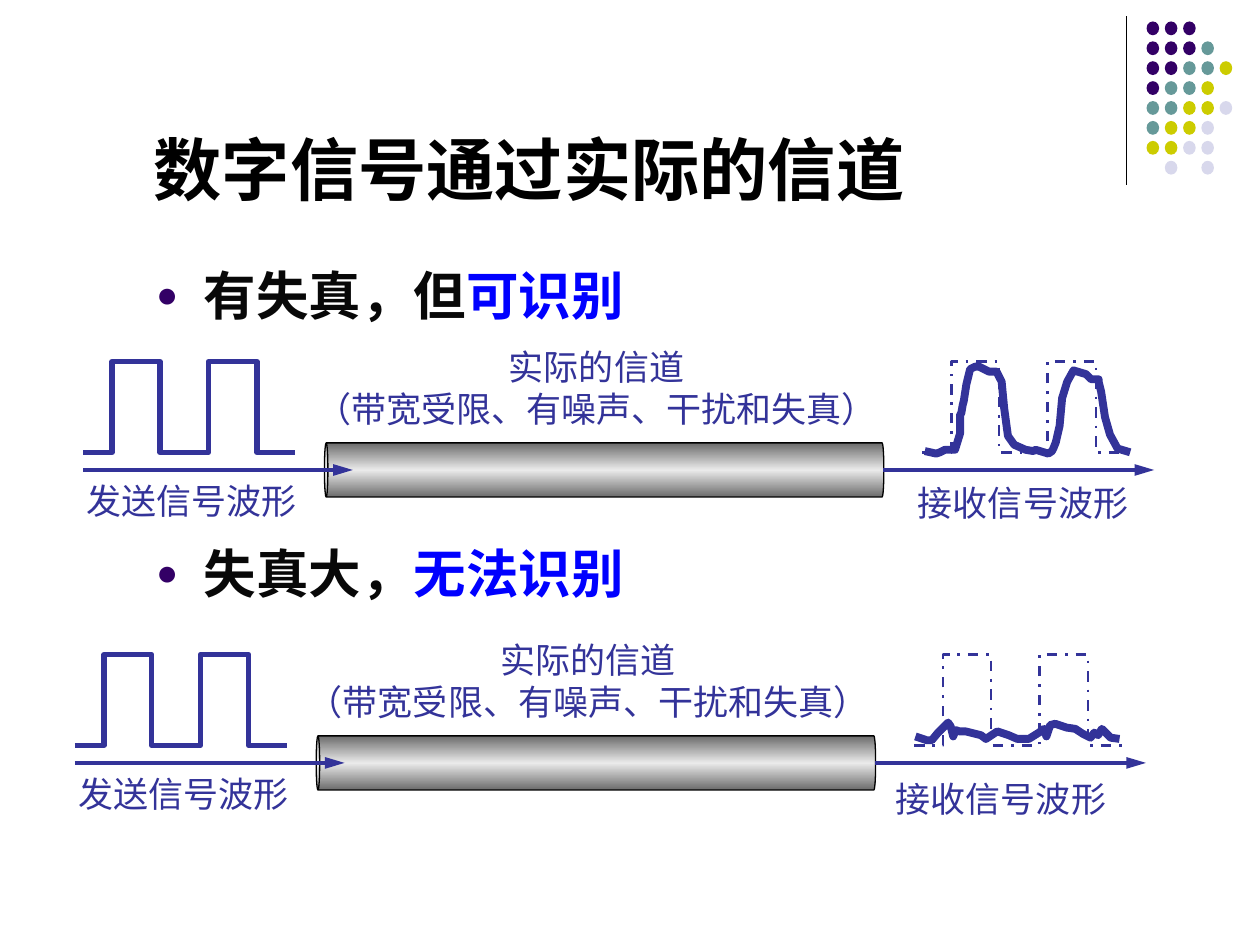
from copy import deepcopy

from lxml import etree
from pptx import Presentation
from pptx import util as u
from pptx.dml.color import RGBColor
from pptx.enum import dml, shapes, text
from pptx.oxml.ns import qn

COLUMNS, ROWS = 100, 75
CELL = u.Inches(10) // COLUMNS
INK, BLUE, BLACK, PURPLE = "333399", "0000FF", "080808", "330066"
CJK = "Noto Sans CJK SC"
DOTS = ["PPP", "PPPT", "PPTTY", "PTTY", "TTYYL", "TYYL", "YYLL", " L L"]
DOT_COLOURS = {"P": PURPLE, "T": "669999", "Y": "CCCC00", "L": "D8D8EC"}
PULSES = [(0, 7.2), (2.3, 7.2), (2.3, 0), (6.1, 0), (6.1, 7.2),
          (9.95, 7.2), (9.95, 0), (13.8, 0), (13.8, 7.2), (16.85, 7.2)]
DISTORTED = [
    (0.2, 7.1), (1.1, 7.3), (1.4, 7.2), (1.8, 7), (2.6, 7), (3, 5.7), (3, 4.2),
    (3.1, 4.1), (3.2, 3.5), (3.3, 3.1), (3.5, 1.8), (3.8, 0.6), (4.2, 0.4),
    (4.5, 0.4), (5.3, 0.8), (5.9, 0.8), (6.3, 1.6), (6.5, 3.7), (6.8, 5.9),
    (7.3, 6.6), (8.2, 7), (8.8, 7.1), (9, 7), (10, 7.3), (10.3, 7.1),
    (10.4, 6.9), (10.6, 6.4), (10.9, 5.1), (11.1, 2.9), (11.5, 1.6), (12, 0.7),
    (13, 1), (13.4, 1.4), (14, 1.4), (14, 1.6), (14.2, 2.4), (14.5, 4.4),
    (14.9, 5.8), (15.5, 6.9), (16.5, 7.2)]
LOST = [
    (0.1, 6.5), (1, 6.8), (1.4, 6.8), (1.9, 6.2), (2.7, 5.4), (2.9, 5.7),
    (3.1, 6.5), (3.3, 6), (3.6, 6.1), (4.1, 6.1), (5.3, 6.4), (5.7, 6.7),
    (6.6, 6.1), (7.5, 6.4), (8.2, 6.7), (9.1, 6.7), (9.9, 6.2), (10.3, 5.9),
    (10.5, 6.5), (10.8, 5.6), (11.2, 5.5), (12.1, 5.8), (12.8, 5.9),
    (13.4, 6.3), (14, 6.6), (14.3, 6.2), (14.6, 6.4), (14.9, 5.9),
    (15.6, 6.6), (16.3, 6.7)]


def cells(*values):
    return [round(v * CELL) for v in values]


def rgb(value):
    return RGBColor.from_string(value)


def set_line(sp, colour, width, dash=None):
    sp.line.color.rgb = rgb(colour)
    sp.line.width = u.Pt(width)
    if dash:
        sp.line.dash_style = dash


def write(p, content, size=20, colour=INK, font=CJK, bold=False, align=None):
    r = p.add_run()
    r.text = content
    r.font.size, r.font.bold, r.font.name = u.Pt(size), bold, font
    r.font.color.rgb = rgb(colour)
    east = etree.SubElement(r.font._element, qn("a:ea"))
    east.set("typeface", CJK)
    p.line_spacing = u.Pt(round(size * 1.2))
    if align:
        p.alignment = align


def add_label(s, box, lines, wrap=False, **style):
    tf = s.shapes.add_textbox(*cells(*box)).text_frame
    tf.word_wrap = wrap
    for i, content in enumerate(lines):
        p = tf.add_paragraph() if i else tf.paragraphs[0]
        write(p, content, **style)


def add_line(s, start, end, colour, width, arrow=False):
    sp = s.shapes.add_connector(shapes.MSO_CONNECTOR.STRAIGHT,
                                *cells(*start, *end))
    set_line(sp, colour, width)
    etree.SubElement(sp._element.spPr, qn("a:effectLst"))
    if arrow:
        tail = etree.SubElement(sp.line._get_or_add_ln(), qn("a:tailEnd"))
        tail.attrib.update({"type": "triangle", "w": "med", "len": "lg"})


def add_wave(s, left, top, points, width, dash=None):
    spots = [cells(left + x, top + y) for x, y in points]
    builder = s.shapes.build_freeform(*spots[0])
    builder.add_line_segments(spots[1:], close=False)
    sp = builder.convert_to_shape()
    sp.shadow.inherit = False
    sp.fill.background()
    set_line(sp, INK, width, dash)


def add_pipe(s, middle, centre, length, thickness):
    sp = s.shapes.add_shape(shapes.MSO_SHAPE.CAN, *cells(
        middle - thickness / 2, centre - length / 2, thickness, length))
    sp.rotation = 270
    sp.adjustments[0] = 0.065
    sp.shadow.inherit = False
    sp.fill.gradient()
    sp.fill.gradient_angle = 0
    stop_list = sp._element.spPr.find(".//" + qn("a:gsLst"))
    stop_list.append(deepcopy(stop_list[0]))
    stops = zip(sp.fill.gradient_stops, ["6C6C6C", "EAEAEA", "6C6C6C"])
    for i, (stop, colour) in enumerate(stops):
        stop.position = i / 2
        stop.color.rgb = rgb(colour)
    set_line(sp, "000000", 0.75)


def add_channel(s, left, top, received, label_x, label_y):
    axis = top + 8.6
    add_pipe(s, left + 41.35, axis, 44.4, 4.3)
    add_wave(s, left, top, PULSES, 3)
    add_line(s, (left, axis), (left + 21.4, axis), INK, 2.25, arrow=True)
    add_wave(s, left + 66.6, top, PULSES, 1.5, dml.MSO_LINE.DASH_DOT)
    add_line(s, (left + 63.5, axis), (left + 85, axis), INK, 2.25, arrow=True)
    add_wave(s, left + 66.6, top, received, 4.5)
    centred = text.PP_ALIGN.CENTER
    add_label(s, (left + 17.5, top - 1.8, 46.5, 7.7),
              ["实际的信道", "（带宽受限、有噪声、干扰和失真）"],
              font="Times New Roman", align=centred)
    add_label(s, (left - 0.7, top + 8.9, 18.7, 4.4), ["发送信号波形"])
    add_label(s, (left + label_x, top + label_y, 21, 4.4), ["接收信号波形"],
              wrap=True, align=centred)


def add_corner(s, left, top):
    add_line(s, (left, top), (left, top + 13.4), "000000", 0.75)
    for row, codes in enumerate(DOTS):
        for column, code in enumerate(codes):
            if code in DOT_COLOURS:
                sp = s.shapes.add_shape(shapes.MSO_SHAPE.OVAL, *cells(
                    left + 1.6 + column * 1.45, top + 0.4 + row * 1.58, 1, 1.1))
                sp.shadow.inherit = False
                sp.fill.solid()
                sp.fill.fore_color.rgb = rgb(DOT_COLOURS[code])
                sp.line.fill.background()


def add_title(s, box, content):
    sp = s.shapes.title
    sp.left, sp.top, sp.width, sp.height = cells(*box)
    tf = sp.text_frame
    tf.vertical_anchor = text.MSO_ANCHOR.BOTTOM
    write(tf.paragraphs[0], content, size=39, colour="000000", font="Arial",
          bold=True, align=text.PP_ALIGN.CENTER)


def add_bullet(p):
    pPr = p._p.get_or_add_pPr()
    pPr.set("marL", str(u.Inches(0.38)))
    pPr.set("indent", str(-u.Inches(0.38)))
    colour = etree.SubElement(pPr, qn("a:buClr"))
    etree.SubElement(colour, qn("a:srgbClr")).set("val", PURPLE)
    etree.SubElement(pPr, qn("a:buSzPct")).set("val", "70000")
    etree.SubElement(pPr, qn("a:buFont")).set("typeface", "Arial")
    etree.SubElement(pPr, qn("a:buChar")).set("char", "●")


def add_points(s, box, points):
    tf = s.shapes.add_textbox(*cells(*box)).text_frame
    tf.word_wrap = True
    for i, (lead, verdict) in enumerate(points):
        p = tf.add_paragraph() if i else tf.paragraphs[0]
        add_bullet(p)
        for content, colour in ((lead, BLACK), (verdict, BLUE)):
            write(p, content, size=30, colour=colour, font="Arial", bold=True)
        if i:
            p.space_before = u.Pt(123)


def main():
    prs = Presentation()
    prs.slide_width, prs.slide_height = cells(COLUMNS, ROWS)
    s = prs.slides.add_slide(prs.slide_layouts[5])
    add_corner(s, 89.4, 1.3)
    add_title(s, (0.4, 8.4, 84.4, 8.7), "数字信号通过实际的信道 ")
    add_points(s, (11.4, 20.4, 85, 45),
               [("有失真，但", "可识别"), ("失真大，", "无法识别")])
    add_channel(s, 6.6, 28.7, DISTORTED, 64.1, 9)
    add_channel(s, 5.95, 51.95, LOST, 63, 9.3)
    prs.save("out.pptx")


if __name__ == "__main__":
    main()
